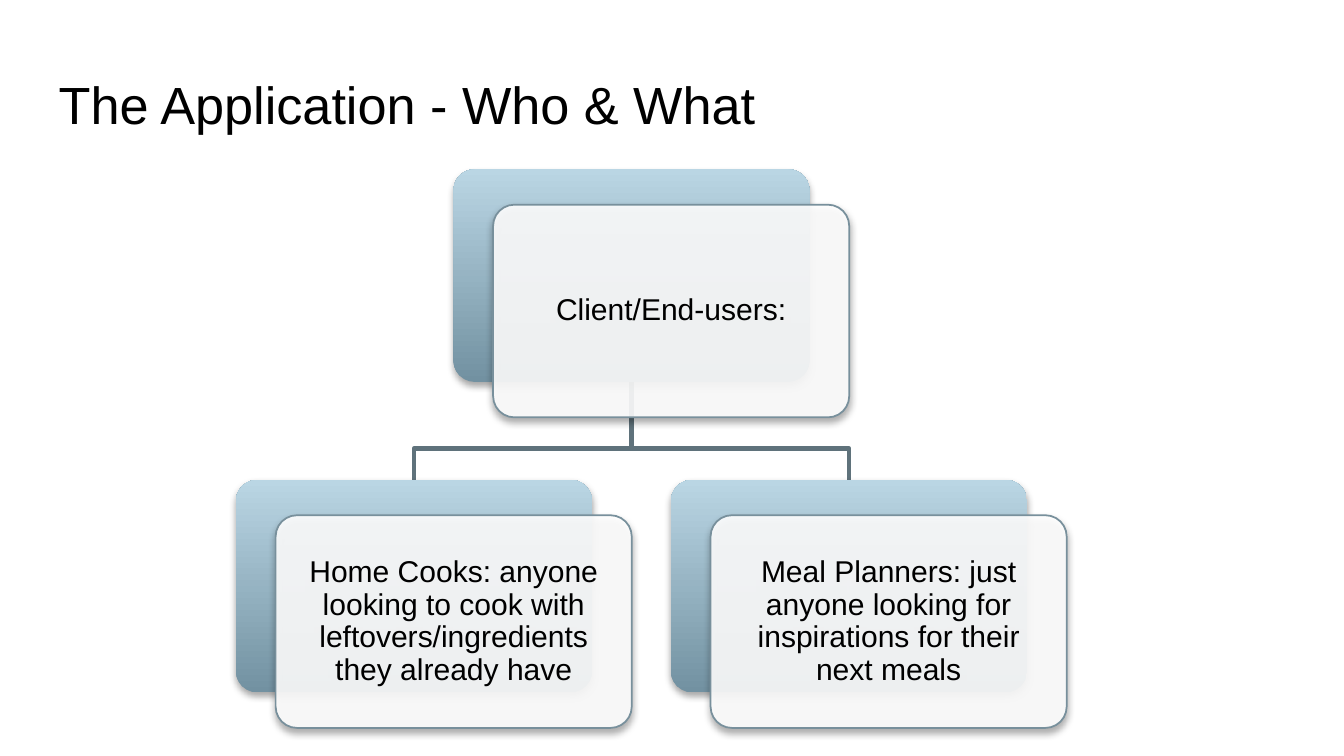
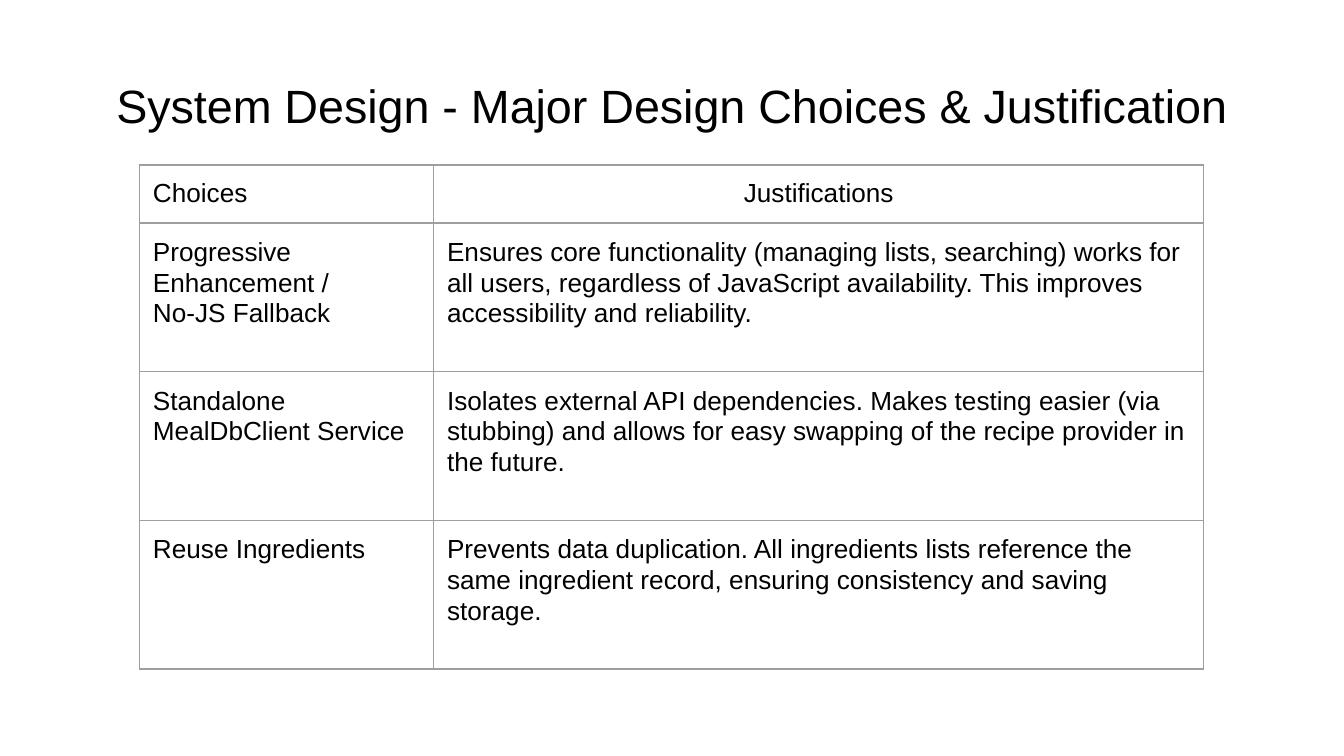
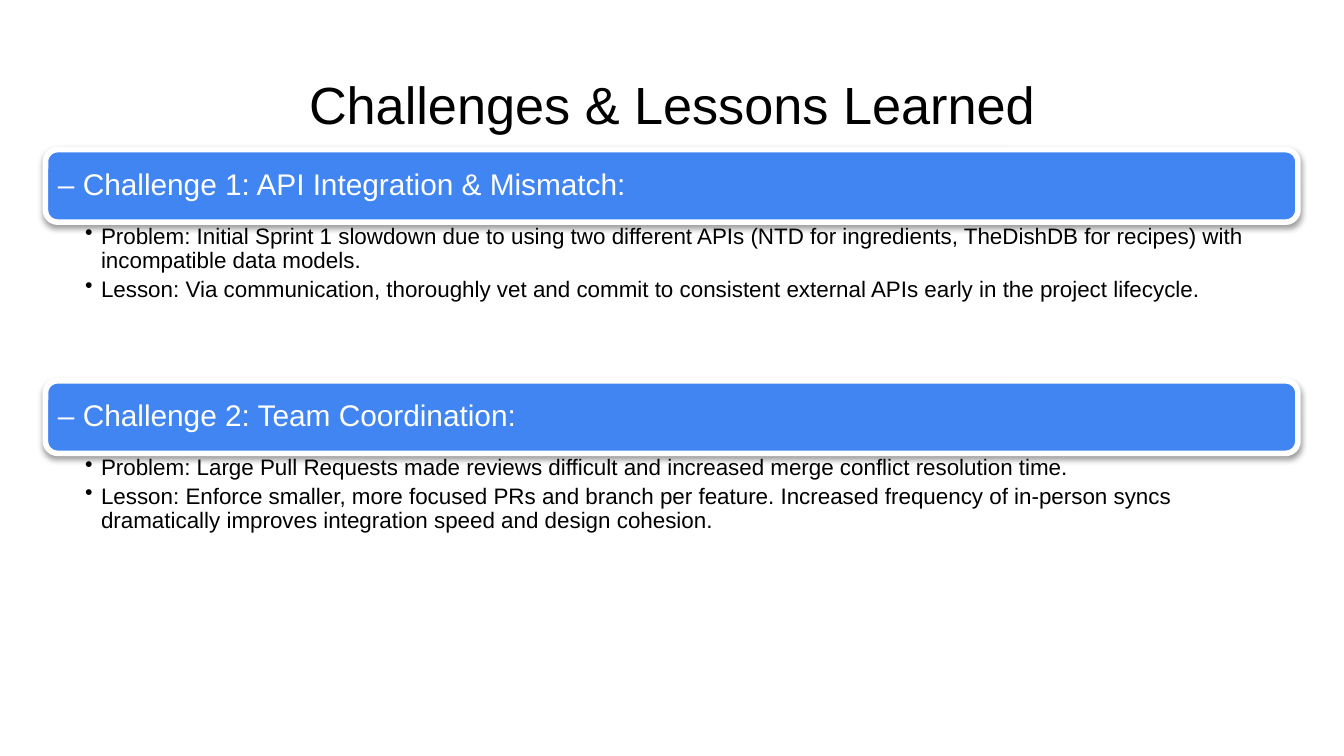
"""Build three slides on a cooking app: its users, design choices and lessons."""
from dataclasses import dataclass

from lxml.etree import SubElement
from pptx import Presentation
from pptx.dml.color import RGBColor
from pptx.enum.shapes import MSO_SHAPE
from pptx.enum.text import MSO_ANCHOR, PP_ALIGN
from pptx.oxml.ns import qn
from pptx.shapes.autoshape import Shape
from pptx.slide import Slide
from pptx.text.text import TextFrame
from pptx.util import Cm, Pt

FONT = "Arial"
HUES = {
    "ink": "000000",
    "white": "FFFFFF",
    "dark": "7291A1",
    "light": "BAD6E4",
    "edge": "78909C",
    "link": "5F727B",
    "grid": "9E9E9E",
    "band": "4185F2",
}
LEFT, WIDE = 0.86, 23.67


@dataclass
class Box:
    left: float
    top: float
    width: float
    height: float

    def spans(self) -> tuple[Cm, Cm, Cm, Cm]:
        return Cm(self.left), Cm(self.top), Cm(self.width), Cm(self.height)


@dataclass
class Style:
    size: float
    hue: str = "ink"
    align: PP_ALIGN = PP_ALIGN.LEFT
    lines: float = 0.9
    gap: float = 0
    dots: bool = False


@dataclass
class Shade:
    alpha: int
    blur: float
    drop: float


@dataclass
class Card:
    text: str
    left: float
    top: float


@dataclass
class Topic:
    head: str
    points: list[str]
    top: float


CARD_W, CARD_H = 6.73, 4.02
SHIFT_X, SHIFT_Y = 0.75, 0.67
ROOT_X, ROOT_Y, KIDS_Y, BEND_Y = 8.57, 3.2, 9.07, 8.48
STEP = 4.11
CARD_SHADE = Shade(35, 3.9, 2.2)
BAND_SHADE = Shade(38, 3.1, 1.6)

ROOT = Card("Client/End-users:", ROOT_X, ROOT_Y)
KIDS = [
    Card("Home Cooks: anyone looking to cook with leftovers/ingredients they already have",
         ROOT_X - STEP, KIDS_Y),
    Card("Meal Planners: just anyone looking for inspirations for their next meals",
         ROOT_X + STEP, KIDS_Y),
]
ROWS = [
    ("Choices", "Justifications"),
    ("Progressive Enhancement /\nNo-JS Fallback",
     "Ensures core functionality (managing lists, searching) works for all users, "
     "regardless of JavaScript availability. This improves accessibility and reliability."),
    ("Standalone MealDbClient Service",
     "Isolates external API dependencies. Makes testing easier (via stubbing) and allows "
     "for easy swapping of the recipe provider in the future."),
    ("Reuse Ingredients",
     "Prevents data duplication. All ingredients lists reference the same ingredient "
     "record, ensuring consistency and saving storage."),
]
TOPICS = [
    Topic("– Challenge 1: API Integration & Mismatch:", [
        "Problem: Initial Sprint 1 slowdown due to using two different APIs (NTD for "
        "ingredients, TheDishDB for recipes) with incompatible data models.",
        "Lesson: Via communication, thoroughly vet and commit to consistent external APIs "
        "early in the project lifecycle.",
    ], 2.83),
    Topic("– Challenge 2: Team Coordination:", [
        "Problem: Large Pull Requests made reviews difficult and increased merge conflict "
        "resolution time.",
        "Lesson: Enforce smaller, more focused PRs and branch per feature. Increased "
        "frequency of in-person syncs dramatically improves integration speed and design "
        "cohesion.",
    ], 7.2),
]


def tint(name: str) -> RGBColor:
    return RGBColor.from_string(HUES[name])


def write(frame: TextFrame, texts: list[str], style: Style) -> None:
    for spot, text in enumerate(texts):
        para = frame.add_paragraph() if spot else frame.paragraphs[0]
        para.text = text
        para.alignment = style.align
        para.line_spacing = style.lines
        para.space_before = Pt(style.gap if spot or not style.dots else 0)
        if style.dots:
            para.level = 1
            props = para._p.get_or_add_pPr()
            props.set("marL", str(Cm(0.3)))
            props.set("indent", str(-Cm(0.3)))
            SubElement(SubElement(props, qn("a:buClr")), qn("a:srgbClr"), val=HUES[style.hue])
            SubElement(props, qn("a:buChar"), char="•")
        para.font.name = FONT
        para.font.size = Pt(style.size)
        para.font.color.rgb = tint(style.hue)


def set_frame(frame: TextFrame, pads: tuple[float, float, float, float],
              anchor: MSO_ANCHOR = MSO_ANCHOR.MIDDLE) -> None:
    frame.word_wrap = True
    frame.vertical_anchor = anchor
    (frame.margin_left, frame.margin_top,
     frame.margin_right, frame.margin_bottom) = [Cm(pad) for pad in pads]


def add_title(slide: Slide, text: str, size: float = 28,
              align: PP_ALIGN = PP_ALIGN.CENTER) -> None:
    frame = slide.shapes.add_textbox(*Box(LEFT, 1.24, WIDE, 1.6).spans()).text_frame
    set_frame(frame, (0.25,) * 4)
    write(frame, [text], Style(size, align=align))


def add_round(slide: Slide, box: Box, bend: float, shade: Shade) -> Shape:
    shape = slide.shapes.add_shape(MSO_SHAPE.ROUNDED_RECTANGLE, *box.spans())
    shape.adjustments[0] = bend
    shape.shadow.inherit = False
    glow = SubElement(shape.element.spPr.find(qn("a:effectLst")), qn("a:outerShdw"),
                      blurRad=str(Pt(shade.blur)), dist=str(Pt(shade.drop)),
                      dir="5400000", rotWithShape="0")
    hue = SubElement(glow, qn("a:srgbClr"), val=HUES["ink"])
    SubElement(hue, qn("a:alpha"), val=str(shade.alpha * 1000))
    return shape


def add_card(slide: Slide, card: Card) -> None:
    back = add_round(slide, Box(card.left, card.top, CARD_W, CARD_H), 0.1, CARD_SHADE)
    back.fill.gradient()
    back.fill.gradient_angle = 90
    for stop, name in zip(back.fill.gradient_stops, ("dark", "light")):
        stop.color.rgb = tint(name)
    back.line.fill.background()

    front = add_round(slide, Box(card.left + SHIFT_X, card.top + SHIFT_Y, CARD_W, CARD_H),
                      0.1, CARD_SHADE)
    front.fill.solid()
    front.fill.fore_color.rgb = tint("white")
    SubElement(front.element.spPr.find(qn("a:solidFill"))[0], qn("a:alpha"), val="90000")
    front.line.color.rgb = tint("edge")
    front.line.width = Pt(0.93)
    set_frame(front.text_frame, (0.17,) * 4)
    write(front.text_frame, [card.text], Style(16.1, align=PP_ALIGN.CENTER))


def add_link(slide: Slide, root: Card, kid: Card) -> None:
    start, end = root.left + CARD_W / 2, kid.left + CARD_W / 2
    pen = slide.shapes.build_freeform(Cm(start), Cm(root.top + CARD_H))
    pen.add_line_segments([(Cm(x), Cm(y)) for x, y in
                           ((start, BEND_Y), (end, BEND_Y), (end, kid.top))], close=False)
    link = pen.convert_to_shape()
    link.shadow.inherit = False
    link.fill.background()
    link.line.color.rgb = tint("link")
    link.line.width = Pt(2.47)


def add_grid(slide: Slide) -> None:
    widths, heights = (5.56, 14.55), (1.07, 2.81, 2.81, 2.81)
    box = Box(2.64, 3.12, sum(widths), sum(heights))
    table = slide.shapes.add_table(len(ROWS), len(widths), *box.spans()).table
    table.first_row = table.horz_banding = False
    for col, width in zip(table.columns, widths):
        col.width = Cm(width)
    for row, height in zip(table.rows, heights):
        row.height = Cm(height)
    for i, texts in enumerate(ROWS):
        for j, text in enumerate(texts):
            cell = table.cell(i, j)
            cell.margin_left = cell.margin_right = Cm(0.25)
            cell.margin_top = cell.margin_bottom = Cm(0.25)
            props = cell._tc.get_or_add_tcPr()
            for side in ("lnL", "lnR", "lnT", "lnB"):
                edge = SubElement(props, qn(f"a:{side}"), w=str(Pt(0.75)))
                SubElement(SubElement(edge, qn("a:solidFill")), qn("a:srgbClr"),
                           val=HUES["grid"])
            cell.fill.solid()
            cell.fill.fore_color.rgb = tint("white")
            if i:
                style = Style(14, lines=1.05, gap=6)
            else:
                style = Style(14, lines=1, align=PP_ALIGN.CENTER if j else PP_ALIGN.LEFT)
            write(cell.text_frame, [text], style)


def add_topic(slide: Slide, topic: Topic) -> None:
    high = 1.37
    band = add_round(slide, Box(LEFT, topic.top, WIDE, high), 0.167, BAND_SHADE)
    band.fill.solid()
    band.fill.fore_color.rgb = tint("band")
    band.line.color.rgb = tint("white")
    band.line.width = Pt(3)
    set_frame(band.text_frame, (0.17,) * 4)
    write(band.text_frame, [topic.head], Style(16, "white"))
    notes = slide.shapes.add_textbox(*Box(LEFT, topic.top + high, WIDE, 2.09).spans())
    set_frame(notes.text_frame, (0.75, 0.05, 0.3, 0.05), MSO_ANCHOR.TOP)
    write(notes.text_frame, topic.points, Style(12, gap=2.4, dots=True))


def main() -> None:
    deck = Presentation()
    deck.slide_width, deck.slide_height = Cm(25.4), Cm(14.29)
    users, design, lessons = [deck.slides.add_slide(deck.slide_layouts[6]) for _ in range(3)]

    add_title(users, "The Application - Who & What", align=PP_ALIGN.LEFT)
    for kid in reversed(KIDS):
        add_link(users, ROOT, kid)
    for card in (ROOT, *KIDS):
        add_card(users, card)

    add_title(design, "System Design - Major Design Choices & Justification", 25)
    add_grid(design)

    add_title(lessons, "Challenges & Lessons Learned")
    for topic in TOPICS:
        add_topic(lessons, topic)

    deck.save("out.pptx")


if __name__ == "__main__":
    main()
